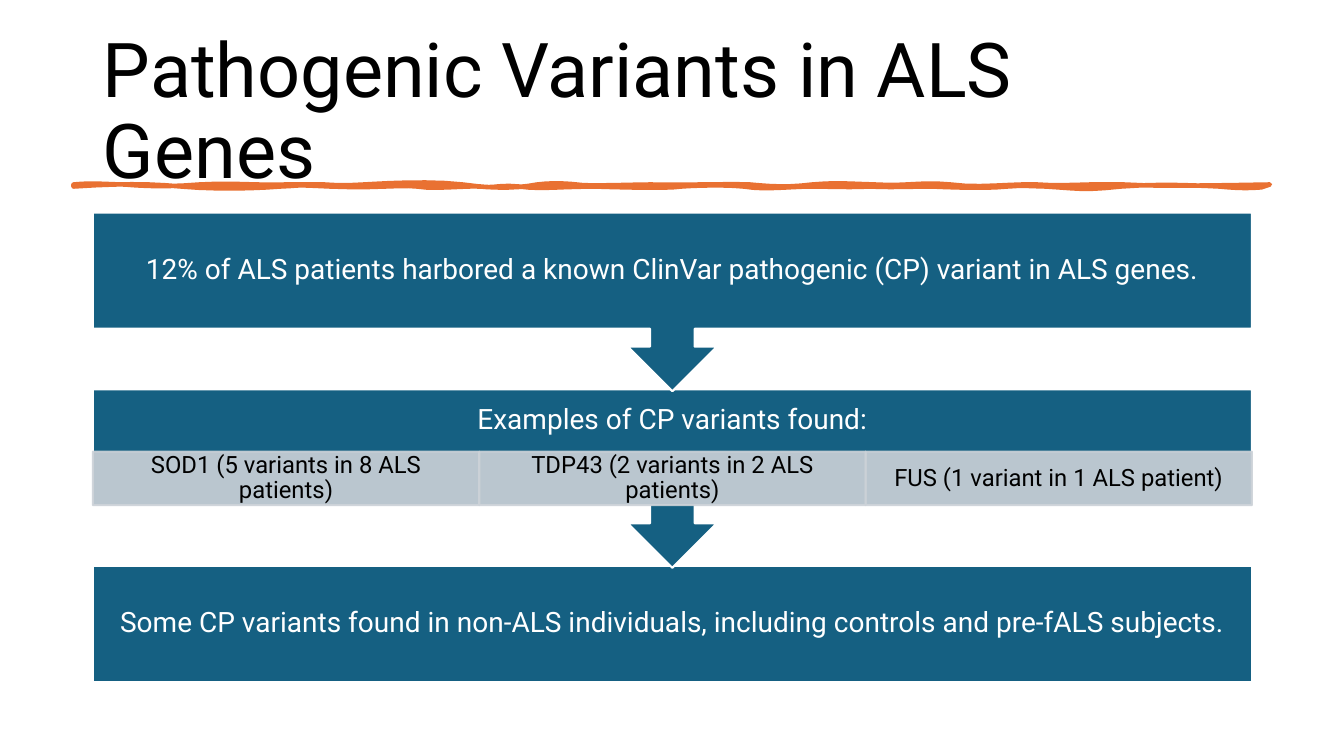
from dataclasses import dataclass

from lxml.etree import SubElement
from pptx import Presentation
from pptx.dml.color import RGBColor
from pptx.enum.shapes import MSO_SHAPE as Shape
from pptx.enum.text import MSO_ANCHOR as Anchor, MSO_AUTO_SIZE as AutoSize, PP_ALIGN as Align
from pptx.oxml.ns import qn
from pptx.util import Cm, Pt


@dataclass(frozen=True)
class Theme:
    """Colours, font and type sizes of the deck."""
    font: str = "Roboto"
    black: RGBColor = RGBColor(0x00, 0x00, 0x00)
    white: RGBColor = RGBColor(0xFF, 0xFF, 0xFF)
    blue: RGBColor = RGBColor(0x15, 0x60, 0x82)
    grey: RGBColor = RGBColor(0xCC, 0xD2, 0xD8)
    orange: RGBColor = RGBColor(0xE9, 0x71, 0x32)
    title: Pt = Pt(54)
    step: Pt = Pt(20)
    detail: Pt = Pt(17)


THEME = Theme()
STEP_PITCH, STEP_HEIGHT, CALLOUT_HEIGHT = Cm(4.45), Cm(2.92), Cm(4.5)
DETAIL_OFFSET, DETAIL_HEIGHT = Cm(1.57), Cm(1.35)

STEPS = [
    "12% of ALS patients harbored a known ClinVar pathogenic (CP) variant in ALS genes.",
    "Examples of CP variants found:",
    "Some CP variants found in non-ALS individuals, including controls and pre-fALS subjects.",
]
DETAILS = [
    "SOD1 (5 variants in 8 ALS patients)",
    "TDP43 (2 variants in 2 ALS patients)",
    "FUS (1 variant in 1 ALS patient)",
]

STROKE_UNIT = Cm(2.54) / 100
STROKE_TOP = [
    (89, -2, 111, 0, 124), (136, 1, 162, 3, 198), (234, -2, 251, 1, 284),
    (317, 0, 307, 0, 322), (338, 1, 342, 1, 361), (380, -1, 424, -4, 459),
    (494, 5, 517, 3, 533), (549, -2, 563, -1, 572), (581, 2, 625, 0, 646),
    (667, 1, 723, -1, 744), (765, 2, 782, 3, 806), (830, -2, 838, -1, 868),
    (899, 2, 914, -3, 943), (972, 4, 1002, -1, 1029), (1055, 2, 1078, -1, 1115),
    (1151, 2, 1199, 1, 1260),
]
STROKE_BOTTOM = [
    (1242, 2, 1230, 2, 1210), (1190, -1, 1149, -3, 1112), (1075, 4, 1070, 2, 1038),
    (1005, -1, 1018, -1, 999), (980, 2, 948, 1, 925), (902, 0, 884, 1, 863),
    (841, 1, 828, 0, 800), (773, 1, 757, 3, 738), (719, -2, 688, -1, 676),
    (663, 2, 624, 1, 590), (555, 0, 537, 3, 515), (494, -2, 491, 2, 477),
    (463, -1, 430, 3, 414), (399, -2, 371, 2, 328), (286, -2, 303, -1, 278),
    (253, 2, 213, 3, 180), (147, -3, 118, -3, 73),
]


def trace(start, level, curves, steps=6):
    """Return points along a chain of cubic curves that rest at one level."""
    points = []
    for x1, y1, x2, y2, end in curves:
        for step in range(1, steps + 1):
            t = step / steps
            u = 1 - t
            first, second = 3 * u * u * t, 3 * u * t * t
            x = u ** 3 * start + first * x1 + second * x2 + t ** 3 * end
            y = level + first * y1 + second * y2
            points.append((x * STROKE_UNIT, y * STROKE_UNIT))
        start = end
    return points


def draw_title(page, text, left, top, width, height):
    """Place the title placeholder in its box."""
    title = page.shapes.title
    title.left, title.top, title.width, title.height = left, top, width, height
    frame = title.text_frame
    frame.text = text
    frame.word_wrap = True
    frame.auto_size = AutoSize.NONE
    frame.vertical_anchor = Anchor.MIDDLE
    para = frame.paragraphs[0]
    para.alignment = Align.LEFT
    para.line_spacing = 0.9
    para.font.name, para.font.size = THEME.font, THEME.title
    para.font.color.rgb = THEME.black


def draw_underline(page, top):
    """Draw the hand-drawn stroke with its upper edge at the given height."""
    start = STROKE_BOTTOM[-1][-1]
    points = trace(start, 0, STROKE_TOP)
    points += trace(STROKE_TOP[-1][-1], 2, STROKE_BOTTOM)
    builder = page.shapes.build_freeform(start * STROKE_UNIT, top)
    builder.add_line_segments([(x, top + y) for x, y in points], close=True)
    stroke = builder.convert_to_shape()
    stroke.shadow.inherit = False
    stroke.fill.solid()
    stroke.fill.fore_color.rgb = stroke.line.color.rgb = THEME.orange
    stroke.line.width = Pt(3.25)


def draw_block(page, kind, text, box, fill, outline, ink, size, insets):
    """Draw one filled shape with centred text in the given box."""
    block = page.shapes.add_shape(kind, *box)
    block.shadow.inherit = False
    block.fill.solid()
    block.fill.fore_color.rgb = fill
    block.line.color.rgb = outline
    block.line.width = Pt(1.5)
    frame = block.text_frame
    frame.text = text
    frame.word_wrap = True
    frame.vertical_anchor = Anchor.MIDDLE
    frame.margin_left, frame.margin_top, frame.margin_right, frame.margin_bottom = insets
    para = frame.paragraphs[0]
    para.alignment = Align.CENTER
    para.line_spacing = 0.9
    para.font.name, para.font.size = THEME.font, size
    para.font.color.rgb = ink
    return block


def draw_details(page, left, top, width, height):
    """Draw the equal, slightly transparent cells of one step."""
    cell_width = width / len(DETAILS)
    for index, text in enumerate(DETAILS):
        box = (int(left + index * cell_width), top, int(cell_width), height)
        insets = (Cm(0.33), Cm(0.05), Cm(0.33), Cm(0.05))
        cell = draw_block(page, Shape.RECTANGLE, text, box, THEME.grey, THEME.grey,
                          THEME.black, THEME.detail, insets)
        for colour in cell._element.spPr.iter(qn("a:srgbClr")):
            SubElement(colour, qn("a:alpha"), val="90000")


def draw_flow(page, left, top, width):
    """Draw the steps from the last to the first so each arrow overlaps the next."""
    inset = Cm(0.41)
    for index, text in reversed(list(enumerate(STEPS))):
        is_last, has_details = index == len(STEPS) - 1, index == 1
        kind = Shape.RECTANGLE if is_last else Shape.DOWN_ARROW_CALLOUT
        step_top = top + index * STEP_PITCH
        box = (left, step_top, width, STEP_HEIGHT if is_last else CALLOUT_HEIGHT)
        bottom = inset + DETAIL_HEIGHT if has_details else inset
        draw_block(page, kind, text, box, THEME.blue, THEME.white, THEME.white,
                   THEME.step, (inset, inset, inset, bottom))
        if has_details:
            draw_details(page, left, step_top + DETAIL_OFFSET, width, DETAIL_HEIGHT)


def main():
    """Build the slide and save the deck."""
    deck = Presentation()
    deck.slide_width, deck.slide_height = Cm(33.87), Cm(19.05)
    page = deck.slides.add_slide(deck.slide_layouts[5])
    left, width = Cm(2.34), Cm(29.21)
    draw_title(page, "Pathogenic Variants in ALS Genes", left, Cm(1.02), width, Cm(3.68))
    draw_underline(page, Cm(4.65))
    draw_flow(page, left, Cm(5.36), width)
    deck.save("out.pptx")


if __name__ == "__main__":
    main()
